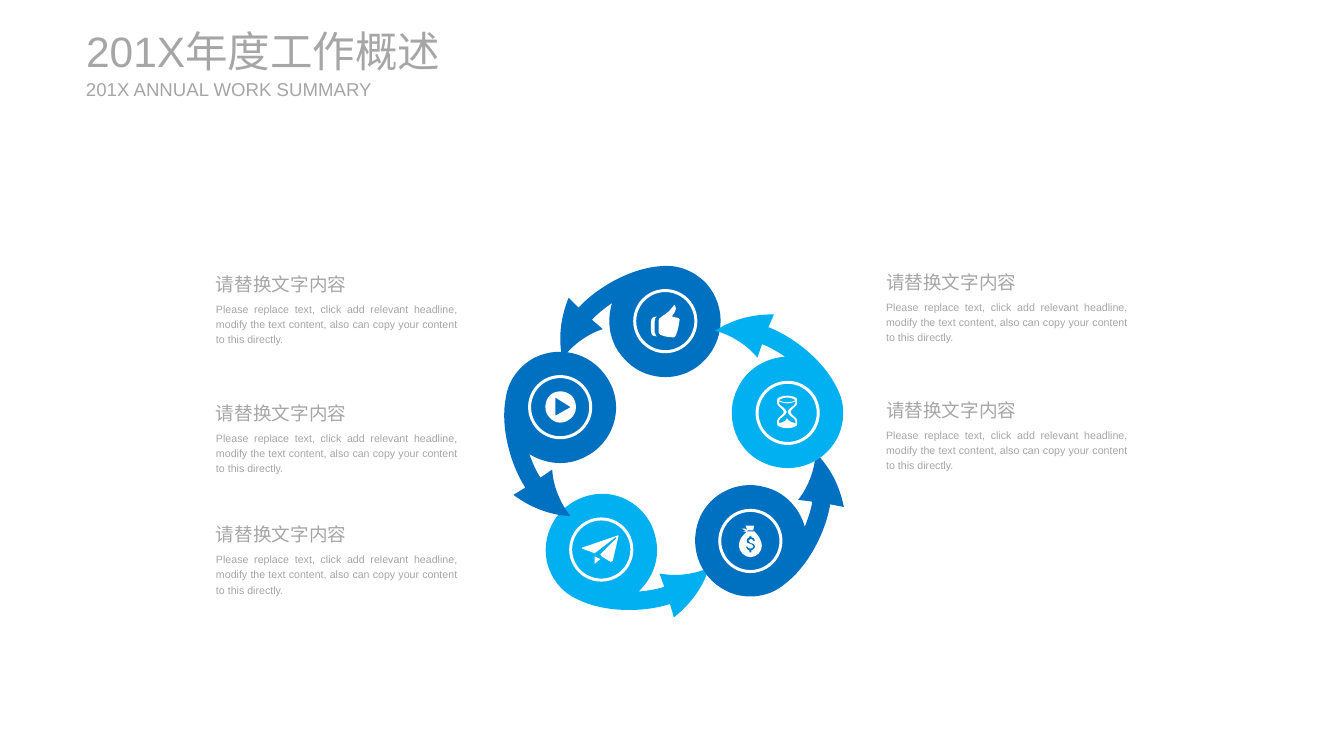
from dataclasses import dataclass
from math import cos, radians, sin

from pptx import Presentation
from pptx.dml.color import RGBColor
from pptx.enum.shapes import MSO_SHAPE as Shape
from pptx.enum.text import MSO_ANCHOR as Anchor, PP_ALIGN as Align
from pptx.oxml.ns import qn
from pptx.shapes.autoshape import Shape as AutoShape
from pptx.shapes.shapetree import GroupShapes
from pptx.slide import Slide
from pptx.util import Inches, Pt

CELL = Inches(0.01)
COLUMNS, ROWS = 1406, 791
RING = 64
BODY_DROP = 33

DARK = RGBColor(0x00, 0x70, 0xC0)
LIGHT = RGBColor(0x00, 0xB0, 0xF0)
WHITE = RGBColor(0xFF, 0xFF, 0xFF)
GREY = RGBColor(0xA6, 0xA6, 0xA6)

HEADING = "请替换文字内容"
BODY = ("Please replace text, click add relevant headline, modify the text "
        "content, also can copy your content to this directly.")

SWIRL = (
    "M 72 57 C 44 66 3 66 -25 52 C -41 45 -53 30 -57 12 C -63 -20 -43 -50 -11 -57 "
    "C 20 -64 51 -43 57 -12 C 62 9 54 30 39 44 C 48 43 57 42 66 39 "
    "L 61 25 C 76 28 95 27 113 19 C 107 38 95 56 76 71 L 72 57"
)
PLANE = (
    "M -7 15 L -1 10 -7 7 "
    "M 18 -15 L -20 -2 -20 -1 -12 2 -7 4 15 -13 16 -12 -1 5 0 7 10 13 12 12 18 -14"
)
MONEY_BAG = (
    "M 3 9 L 1 10 1 12 -1 12 -1 10 -3 9 -5 6 -3 6 "
    "C -3 7 -2 8 0 8 C 2 8 3 7 3 6 C 3 5 2 4 0 3 C -3 3 -4 2 -4 0 "
    "C -4 -2 -3 -3 -1 -4 L -1 -5 1 -5 1 -4 C 3 -4 5 -2 5 0 L 3 0 "
    "C 3 -1 2 -2 0 -2 C -1 -2 -2 -1 -2 0 C -2 1 -1 2 0 2 C 3 2 5 4 5 6 "
    "C 5 7 4 8 3 9 "
    "M 4 -10 L -4 -10 -3 -11 3 -11 4 -16 -5 -16 -3 -11 C -4 -12 -6 -14 -9 -13 "
    "L -4 -10 -8 -10 -4 -9 C -9 -6 -12 0 -12 5 C -12 11 -6 17 0 17 "
    "C 7 17 12 11 12 5 C 12 0 8 -7 4 -10"
)
PLAY = (
    "M 12 -12 C 5 -18 -5 -18 -11 -12 C -17 -5 -17 5 -11 11 C -5 18 5 18 12 11 "
    "C 18 5 18 -5 12 -12 M -5 9 L -5 -10 11 0"
)
THUMB = (
    "M -9 -5 C -11 -5 -15 -4 -15 1 L -15 10 C -15 16 -11 16 -9 16 "
    "C -8 16 -11 15 -11 12 L -11 0 C -11 -4 -8 -5 -9 -5 "
    "M 7 -5 C 7 -6 14 -12 10 -17 C 9 -18 6 -11 1 -8 C -2 -6 -7 -3 -7 -1 "
    "L -7 12 C -7 15 2 17 9 17 C 12 17 15 1 15 -2 C 15 -4 7 -4 7 -5"
)
HOURGLASS = (
    "M 0 -1 C 0 1 2 2 4 4 C 6 5 8 7 8 8 L 8 11 C 6 10 0 9 0 6 L -1 6 "
    "C -1 9 -7 10 -9 11 L -9 8 C -9 7 -7 5 -5 4 C -3 2 -1 1 -1 -1 "
    "C -1 -3 -3 -4 -5 -6 C -7 -7 -9 -9 -9 -10 L -9 -12 C -7 -11 -4 -10 0 -10 "
    "C 3 -10 6 -11 8 -12 L 8 -10 C 8 -9 6 -7 4 -6 C 2 -4 0 -3 0 -1 "
    "M -8 -14 C -7 -15 -4 -16 0 -16 C 4 -16 7 -14 7 -14 L 8 -13 "
    "C 6 -12 3 -11 0 -11 C -4 -11 -7 -12 -9 -13 "
    "M 10 -10 L 10 -14 C 10 -16 5 -18 0 -18 C -6 -18 -11 -16 -11 -14 L -11 -10 "
    "C -11 -7 -4 -4 -4 -1 C -4 2 -11 5 -11 8 L -11 12 C -11 14 -6 16 0 16 "
    "C 5 16 10 14 10 12 L 10 8 C 10 5 3 2 3 -1 C 3 -4 10 -7 10 -10"
)

Point = tuple[float, float]


@dataclass(frozen=True)
class Step:
    """One stage of the cycle: its centre, its turn in degrees and its icon."""
    col: int
    row: int
    turn: float
    color: RGBColor
    icon: str


@dataclass(frozen=True)
class Label:
    """A line or paragraph of grey text on the grid."""
    text: str
    col: int
    row: int
    width: int
    height: int
    size: int
    is_title: bool = False


STEPS = (
    Step(629, 575, 0, LIGHT, PLANE),
    Step(785, 566, -63, DARK, MONEY_BAG),
    Step(586, 426, 75, DARK, PLAY),
    Step(696, 336, 150.5, DARK, THUMB),
    Step(824, 432, -141, LIGHT, HOURGLASS),
)
CAPTIONS = ((226, 281), (226, 416), (226, 543), (927, 279), (927, 413))
TITLES = (
    Label("201X年度工作概述", 90, 26, 432, 54, 32, True),
    Label("201X ANNUAL WORK SUMMARY", 90, 81, 307, 24, 14, True),
)


def trace(outline: str) -> tuple[list[list[Point]], list[bool]]:
    """Return the contours of an outline and, per segment, whether it curves."""
    contours, curved = [], []
    for part in outline.split("M")[1:]:
        contour = []
        for command in part.replace("L", "|L").replace("C", "|C").split("|"):
            numbers = [int(n) for n in command.strip("LC ").split()]
            points = list(zip(numbers[::2], numbers[1::2]))
            contour.extend(points)
            if command.startswith("C"):
                curved.append(True)
            elif command.startswith("L"):
                curved.extend([False] * len(points))
        contours.append(contour)
    return contours, curved


def bend(sp: AutoShape, curved: list[bool]) -> None:
    """Join each three lines of a curved segment into one cubic curve."""
    geometry = sp._element.find(".//" + qn("a:path"))
    lines = iter(geometry.findall(qn("a:lnTo")))
    for is_curve in curved:
        segment = next(lines)
        if is_curve:
            segment.tag = qn("a:cubicBezTo")
            for line in (next(lines), next(lines)):
                segment.append(line[0])
                geometry.remove(line)


def draw_outline(shapes: GroupShapes, outline: str, step: Step,
                 color: RGBColor, turn: float = 0) -> None:
    """Draw a filled outline turned about the centre of a step."""
    c, s = cos(radians(turn)), sin(radians(turn))
    traced, curved = trace(outline)
    contours = [[((step.col + x * c - y * s) * CELL, (step.row + x * s + y * c) * CELL)
                 for x, y in contour] for contour in traced]
    builder = shapes.build_freeform(*contours[0][0])
    builder.add_line_segments(contours[0][1:])
    for contour in contours[1:]:
        builder.move_to(*contour[0])
        builder.add_line_segments(contour[1:])
    sp = builder.convert_to_shape()
    bend(sp, curved)
    sp.shadow.inherit = False
    sp.fill.solid()
    sp.fill.fore_color.rgb = color
    sp.line.fill.background()


def draw_step(slide: Slide, step: Step) -> None:
    """Draw the swirl arrow, ring and icon of a step as one group."""
    shapes = slide.shapes.add_group_shape().shapes
    draw_outline(shapes, SWIRL, step, step.color, step.turn)
    ring = shapes.add_shape(Shape.OVAL, (step.col - RING // 2) * CELL,
                            (step.row - RING // 2) * CELL, RING * CELL, RING * CELL)
    ring.shadow.inherit = False
    ring.fill.background()
    ring.line.color.rgb = WHITE
    ring.line.width = Pt(2.25)
    draw_outline(shapes, step.icon, step, WHITE)


def draw_label(slide: Slide, label: Label) -> None:
    """Draw a text box without margins."""
    sp = slide.shapes.add_textbox(label.col * CELL, label.row * CELL,
                                  label.width * CELL, label.height * CELL)
    tf = sp.text_frame
    tf.word_wrap = True
    tf.margin_left = tf.margin_right = tf.margin_top = tf.margin_bottom = 0
    tf.text = label.text
    p = tf.paragraphs[0]
    if label.is_title:
        tf.vertical_anchor = Anchor.MIDDLE
    else:
        p.alignment, p.line_spacing = Align.JUSTIFY, 1.2
    font = p.runs[0].font
    font.name, font.size, font.color.rgb = "Arial", Pt(label.size), GREY


prs = Presentation()
prs.slide_width, prs.slide_height = COLUMNS * CELL, ROWS * CELL
slide = prs.slides.add_slide(prs.slide_layouts[6])
for step in STEPS:
    draw_step(slide, step)
for col, row in CAPTIONS:
    draw_label(slide, Label(HEADING, col, row, 223, 26, 14))
    draw_label(slide, Label(BODY, col, row + BODY_DROP, 253, 47, 8))
for title in TITLES:
    draw_label(slide, title)
prs.save("out.pptx")
